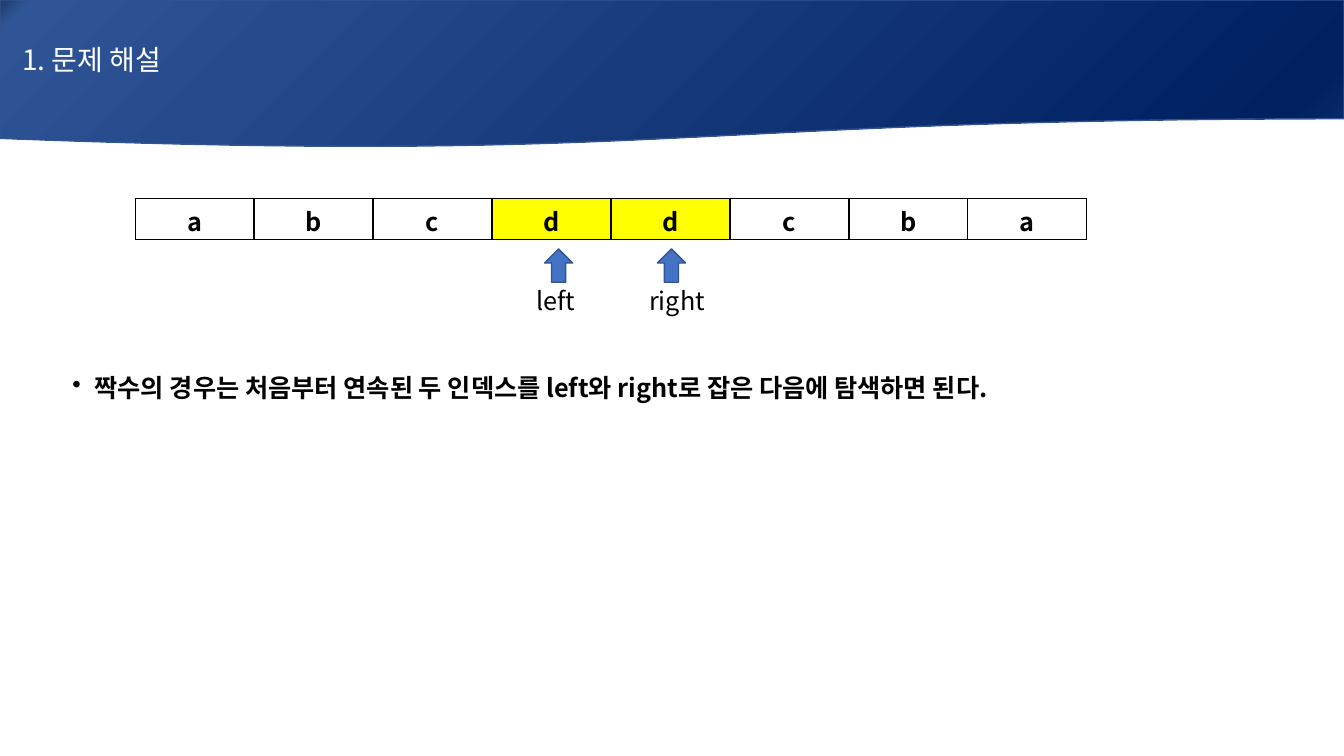
import pptx
import pptx.util
import pptx.dml.color
import pptx.enum.shapes
import pptx.enum.text
import pptx.oxml
import pptx.oxml.ns
import lxml.etree

TITLE = "1. 문제 해설"
LETTERS = "abcddcba"
POINTERS = [("left", 3), ("right", 4)]
NOTE = "짝수의 경우는 처음부터 연속된 두 인덱스를 left와 right로 잡은 다음에 탐색하면 된다."

THEME = {
    "font": "Noto Sans CJK KR",
    "title": 20, "body": 18,
    "white": "FFFFFF", "black": "000000", "mark": "FFFF00",
    "arrow": "4472C4", "outline": "325491",
    "band": [(0, "203864"), (2, "2F5597"), (94, "002060"), (100, "0D2E6F")],
}
WIDTH, HEIGHT = 13.33, 7.5
BAND_HEIGHT = 1.47
TABLE_LEFT, TABLE_TOP, CELL_WIDTH, CELL_HEIGHT = 1.34, 1.97, 1.18, 0.4
FIRST_POINTER, POINTER_STEP = 5.54, 1.12
ARROW_WIDTH, ARROW_HEIGHT, ARROW_TOP = 0.28, 0.33, 2.47
LABEL_TOP, LABEL_WIDTH, LABEL_SHIFT = 2.78, 0.94, 0.32

Inches = pptx.util.Inches
Shape = pptx.enum.shapes.MSO_SHAPE
Align = pptx.enum.text.PP_ALIGN
Anchor = pptx.enum.text.MSO_ANCHOR
NAMESPACE = pptx.oxml.ns.nsdecls("a")


def color(name):
    return pptx.dml.color.RGBColor.from_string(THEME[name])


def place(left, top, width, height):
    return [Inches(length) for length in (left, top, width, height)]


def write(frame, text, size="body", ink="black", bold=False, align=Align.LEFT):
    frame.word_wrap = True
    frame.vertical_anchor = Anchor.MIDDLE
    para = frame.paragraphs[0]
    para.text = text
    para.alignment = align
    font = para.font
    font.name = THEME["font"]
    font.size = pptx.util.Pt(THEME[size])
    font.bold = bold
    font.color.rgb = color(ink)
    asian = lxml.etree.SubElement(font._element, pptx.oxml.ns.qn("a:ea"))
    asian.set("typeface", THEME["font"])
    return para


def add_shape(kind, box):
    shape = page.shapes.add_shape(kind, *box)
    shape.shadow.inherit = False
    shape.line.color.rgb = color("outline")
    shape.line.width = pptx.util.Pt(1)
    return shape


def add_band():
    band = add_shape(Shape.FLOWCHART_DOCUMENT, place(0, 0, WIDTH, BAND_HEIGHT))
    stops = "".join(
        f'<a:gs pos="{share * 1000}"><a:srgbClr val="{tone}"/></a:gs>'
        for share, tone in THEME["band"])
    gradient = pptx.oxml.parse_xml(
        f'<a:gradFill {NAMESPACE}><a:gsLst>{stops}</a:gsLst>'
        '<a:lin ang="2700000" scaled="0"/></a:gradFill>')
    band.fill.background()
    blank = band._element.spPr.find(pptx.oxml.ns.qn("a:noFill"))
    blank.getparent().replace(blank, gradient)
    page.shapes._spTree.insert(2, band._element)


def add_title():
    title = page.shapes.title
    title.left, title.top, title.width, title.height = place(
        0.12, 0, WIDTH / 2, BAND_HEIGHT * 0.8)
    write(title.text_frame, TITLE, "title", "white")


def add_letters():
    frame = page.shapes.add_table(1, len(LETTERS), *place(
        TABLE_LEFT, TABLE_TOP, CELL_WIDTH * len(LETTERS), CELL_HEIGHT))
    table = frame.table
    marked = [column for _, column in POINTERS]
    for column, letter in enumerate(LETTERS):
        table.columns[column].width = Inches(CELL_WIDTH)
        cell = table.cell(0, column)
        cell.margin_top, cell.margin_bottom = Inches(0.04), 0
        write(cell.text_frame, letter, bold=True, align=Align.CENTER)
        cell.vertical_anchor = Anchor.MIDDLE
        cell.fill.solid()
        cell.fill.fore_color.rgb = color("mark" if column in marked else "white")
        for index, side in enumerate(("lnL", "lnR", "lnT", "lnB")):
            cell._tc.get_or_add_tcPr().insert(index, pptx.oxml.parse_xml(
                f'<a:{side} {NAMESPACE} w="12700"><a:solidFill>'
                f'<a:srgbClr val="{THEME["black"]}"/></a:solidFill></a:{side}>'))


def add_pointers():
    for index, (label, _) in enumerate(POINTERS):
        center = FIRST_POINTER + index * POINTER_STEP
        arrow = add_shape(Shape.UP_ARROW, place(
            center - ARROW_WIDTH / 2, ARROW_TOP, ARROW_WIDTH, ARROW_HEIGHT))
        arrow.fill.solid()
        arrow.fill.fore_color.rgb = color("arrow")
        box = page.shapes.add_textbox(*place(
            center - LABEL_SHIFT, LABEL_TOP, LABEL_WIDTH, CELL_HEIGHT))
        write(box.text_frame, label)


def add_note():
    box = page.shapes.add_textbox(*place(0.62, 3.64, 11, CELL_HEIGHT))
    para = write(box.text_frame, NOTE, bold=True)
    layout = para._p.get_or_add_pPr()
    layout.set("marL", str(Inches(0.22)))
    layout.set("indent", str(-Inches(0.22)))
    layout.insert(0, pptx.oxml.parse_xml(f'<a:buChar {NAMESPACE} char="•"/>'))


deck = pptx.Presentation()
deck.slide_width, deck.slide_height = Inches(WIDTH), Inches(HEIGHT)
page = deck.slides.add_slide(deck.slide_layouts[5])
add_band()
add_title()
add_letters()
add_pointers()
add_note()
deck.save("out.pptx")
